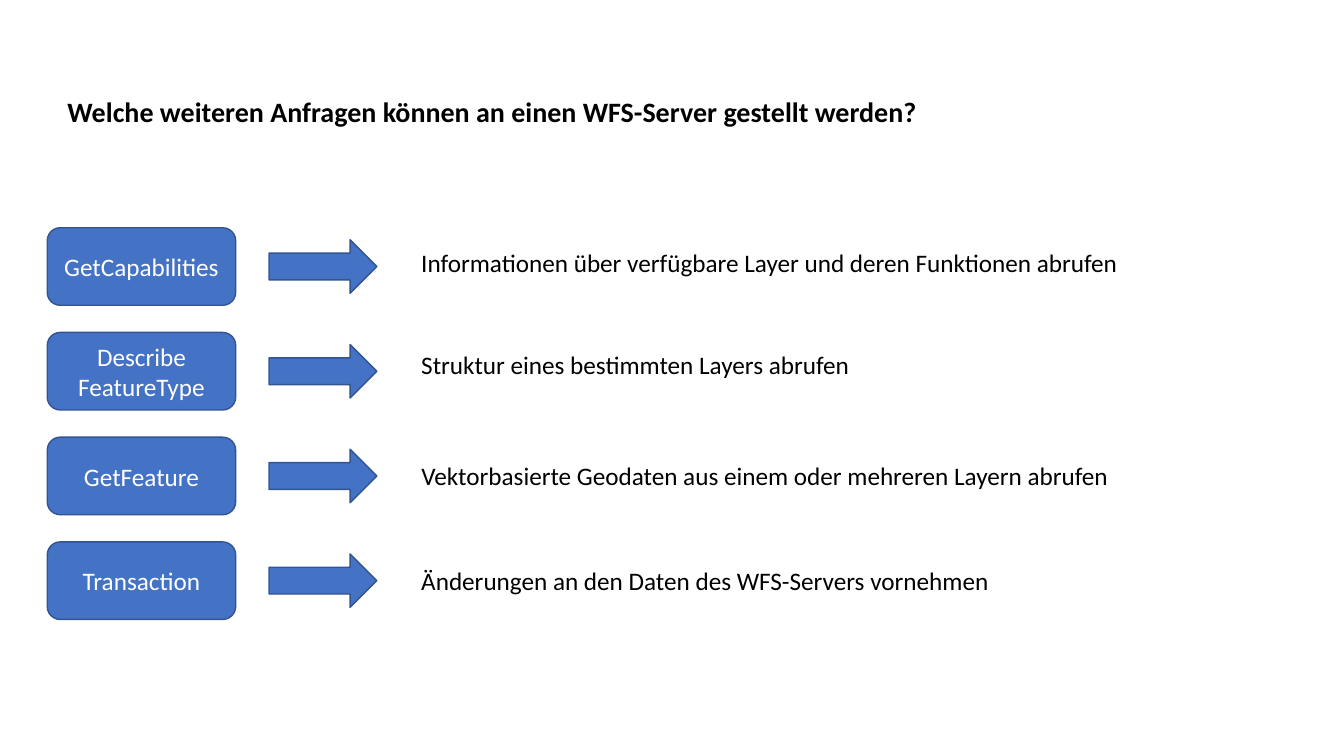
from pptx import Presentation
from pptx.dml.color import RGBColor
from pptx.enum.shapes import MSO_SHAPE
from pptx.enum.text import MSO_ANCHOR, PP_ALIGN
from pptx.util import Pt

# Content: request lines, description, description top and width
TITLE = "Welche weiteren Anfragen können an einen WFS-Server gestellt werden?"
REQUESTS = [
    (["GetCapabilities"],
     "Informationen über verfügbare Layer und deren Funktionen abrufen", 172.8, 527.8),
    (["Describe", "FeatureType"],
     "Struktur eines bestimmten Layers abrufen", 246.2, 324),
    (["GetFeature"],
     "Vektorbasierte Geodaten aus einem oder mehreren Layern abrufen", 325.4, 577.4),
    (["Transaction"],
     "Änderungen an den Daten des WFS-Servers vornehmen", 400.3, 556.6),
]

# Style and layout
FONT = "Calibri"
BLUE = RGBColor(0x44, 0x72, 0xC4)
OUTLINE = RGBColor(0x32, 0x54, 0x91)
BLACK = RGBColor(0, 0, 0)
WHITE = RGBColor(255, 255, 255)
ROW_TOP, ROW_PITCH = 162.7, 74.8
BOX_LEFT, BOX_W, BOX_H = 33.8, 134.6, 55.4
ARROW_LEFT, ARROW_W, ARROW_H = 192.2, 77, 38.2
TEXT_LEFT, TEXT_H = 293.8, 29

prs = Presentation()
prs.slide_width, prs.slide_height = Pt(960), Pt(540)
s = prs.slides.add_slide(prs.slide_layouts[6])


def write(sp, lines, size=18, color=BLACK, bold=False,
          align=PP_ALIGN.LEFT, anchor=MSO_ANCHOR.TOP):
    tf = sp.text_frame
    tf.word_wrap = True
    tf.vertical_anchor = anchor
    for i, line in enumerate(lines):
        p = tf.add_paragraph() if i else tf.paragraphs[0]
        p.alignment = align
        r = p.add_run()
        r.text = line
        r.font.name, r.font.size, r.font.bold = FONT, Pt(size), bold
        r.font.color.rgb = color


def add_blue_shape(kind, left, top, width, height):
    sp = s.shapes.add_shape(kind, Pt(left), Pt(top), Pt(width), Pt(height))
    sp.shadow.inherit = False
    sp.fill.solid()
    sp.fill.fore_color.rgb = BLUE
    sp.line.color.rgb = OUTLINE
    sp.line.width = Pt(1)
    return sp


# Title
title = s.shapes.add_textbox(Pt(41), Pt(64.1), Pt(627.1), Pt(31.7))
write(title, [TITLE], size=20, bold=True)

# One row per request: box, arrow, description
for row, (name, description, text_top, text_w) in enumerate(REQUESTS):
    top = ROW_TOP + row * ROW_PITCH
    box = add_blue_shape(MSO_SHAPE.ROUNDED_RECTANGLE, BOX_LEFT, top, BOX_W, BOX_H)
    write(box, name, color=WHITE, align=PP_ALIGN.CENTER, anchor=MSO_ANCHOR.MIDDLE)
    add_blue_shape(MSO_SHAPE.RIGHT_ARROW, ARROW_LEFT,
                   top + (BOX_H - ARROW_H) / 2, ARROW_W, ARROW_H)
    text = s.shapes.add_textbox(Pt(TEXT_LEFT), Pt(text_top), Pt(text_w), Pt(TEXT_H))
    write(text, [description])

prs.save("out.pptx")
